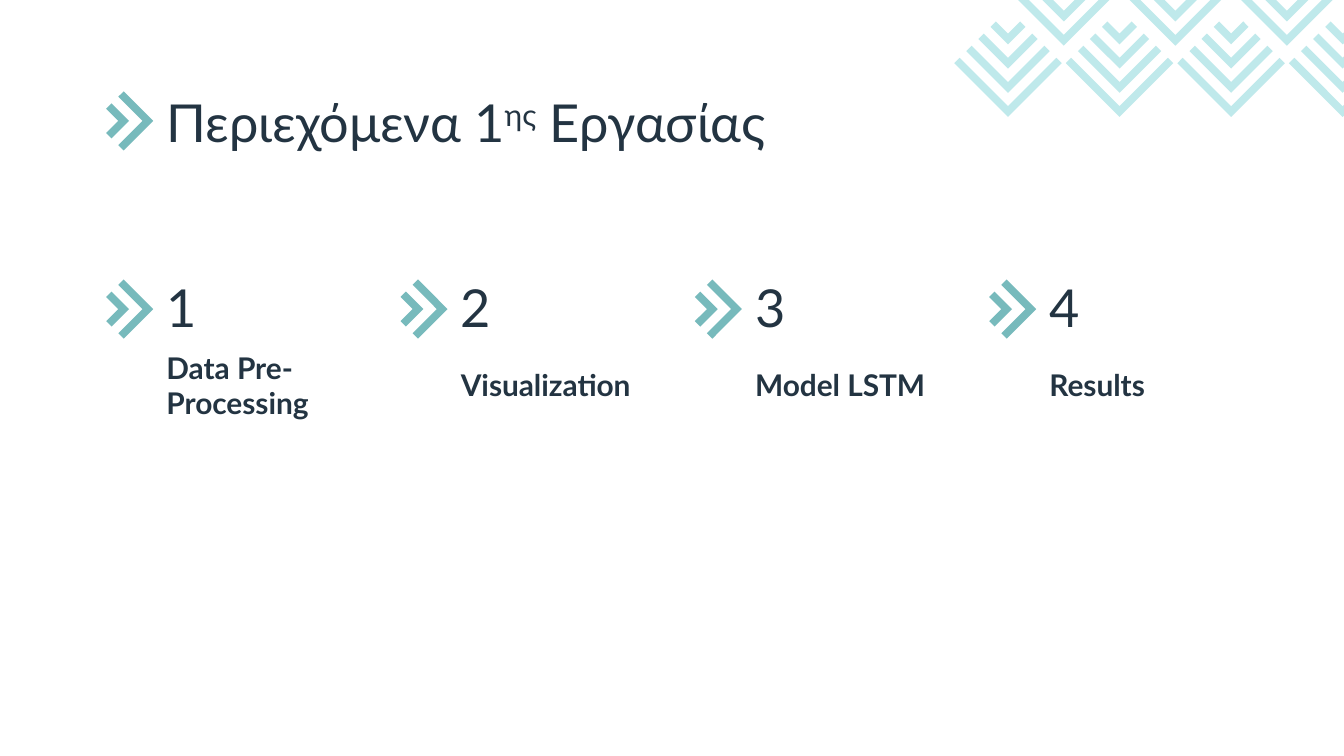
"""Build the contents slide: a title, four numbered topics and a chevron pattern."""
from pptx import Presentation
from pptx.dml.color import RGBColor
from pptx.enum.text import MSO_ANCHOR
from pptx.util import Inches, Pt

MIDDLE = MSO_ANCHOR.MIDDLE

TITLE = [("Περιεχόμενα 1", 0), ("ης", 30), (" Εργασίας", 0)]
TOPICS = ["Data Pre-Processing", "Visualization", "Model LSTM", "Results"]

THEME = {
    "font": "Lato",
    "ink": RGBColor.from_string("233442"),
    "accent": RGBColor.from_string("77BABC"),
    "pale": RGBColor.from_string("BFE9EB"),
    "heading": Pt(28),
    "label": Pt(16),
}

PAGE_WIDTH = 10
PAGE_HEIGHT = PAGE_WIDTH * 9 / 16
TEXT_LEFT, TOPIC_STEP = 1.14, 2.19
TITLE_MIDDLE, TOPIC_MIDDLE = 0.9, 2.3
INSET = 0.1
EDGE, NOTCH, NEST = 0.04, 0.08, 0.18
MARKER_SPANS = [0.22, 0.13]
PATTERN_SPANS = [0.4, 0.31, 0.22, 0.13]
PATTERN_LEFT, PATTERN_STEP = 7.5, 0.83
PATTERN_ROWS = [(PATTERN_LEFT, 0.87, 4, 4),
                (PATTERN_LEFT + PATTERN_STEP / 2, 0.34, 3, 2)]
RIGHT, DOWN = 90, 180


def add_chevron(group, tip_x, tip_y, span, rotation, color):
    height = span + EDGE
    if rotation == RIGHT:
        middle_x, middle_y = tip_x - height / 2, tip_y
    else:
        middle_x, middle_y = tip_x, tip_y - height / 2
    top = middle_y - height / 2
    offsets = [(0, 0), (span, span), (span - EDGE, height), (0, NOTCH),
               (EDGE - span, height), (-span, span)]
    points = [(Inches(middle_x + x), Inches(top + y)) for x, y in offsets]
    builder = group.shapes.build_freeform(*points[0], scale=1.0)
    builder.add_line_segments(points[1:], close=True)
    chevron = builder.convert_to_shape()
    chevron.rotation = rotation
    chevron.shadow.inherit = False
    chevron.fill.solid()
    chevron.fill.fore_color.rgb = color
    chevron.line.fill.background()


def add_marker(slide, tip_x, tip_y):
    group = slide.shapes.add_group_shape()
    for index, span in enumerate(MARKER_SPANS):
        add_chevron(group, tip_x - index * NEST, tip_y, span, RIGHT, THEME["accent"])


def add_pattern(slide):
    group = slide.shapes.add_group_shape()
    for left, bottom, columns, depth in PATTERN_ROWS:
        for column in range(columns):
            for index, span in enumerate(PATTERN_SPANS[:depth]):
                add_chevron(group, left + column * PATTERN_STEP, bottom - index * NEST,
                            span, DOWN, THEME["pale"])


def add_text(slide, left, top, width, height, spans, size, bold=False):
    box = slide.shapes.add_textbox(*map(Inches, (left, top, width, height)))
    frame = box.text_frame
    frame.word_wrap = True
    frame.vertical_anchor = MIDDLE
    frame.margin_left = frame.margin_right = Inches(INSET)
    frame.margin_top = frame.margin_bottom = Inches(INSET)
    para = frame.paragraphs[0]
    para.font.name = THEME["font"]
    para.font.size = size
    para.font.bold = bold
    para.font.color.rgb = THEME["ink"]
    for text, baseline in spans:
        span = para.add_run()
        span.text = text
        if baseline:
            span._r.get_or_add_rPr().set("baseline", str(baseline * 1000))


def main():
    deck = Presentation()
    deck.slide_width, deck.slide_height = Inches(PAGE_WIDTH), Inches(PAGE_HEIGHT)
    slide = deck.slides.add_slide(deck.slide_layouts[6])

    add_pattern(slide)
    add_marker(slide, TEXT_LEFT, TITLE_MIDDLE)
    add_text(slide, TEXT_LEFT, 0.59, 8.14, 0.63, TITLE, THEME["heading"])
    for index, topic in enumerate(TOPICS):
        left = TEXT_LEFT + index * TOPIC_STEP
        add_marker(slide, left, TOPIC_MIDDLE)
        add_text(slide, left, 2.06, 1.65, 0.44, [(str(index + 1), 0)], THEME["heading"])
        add_text(slide, left, 2.53, 1.65, 0.67, [(topic, 0)], THEME["label"], bold=True)

    deck.save("out.pptx")


if __name__ == "__main__":
    main()
